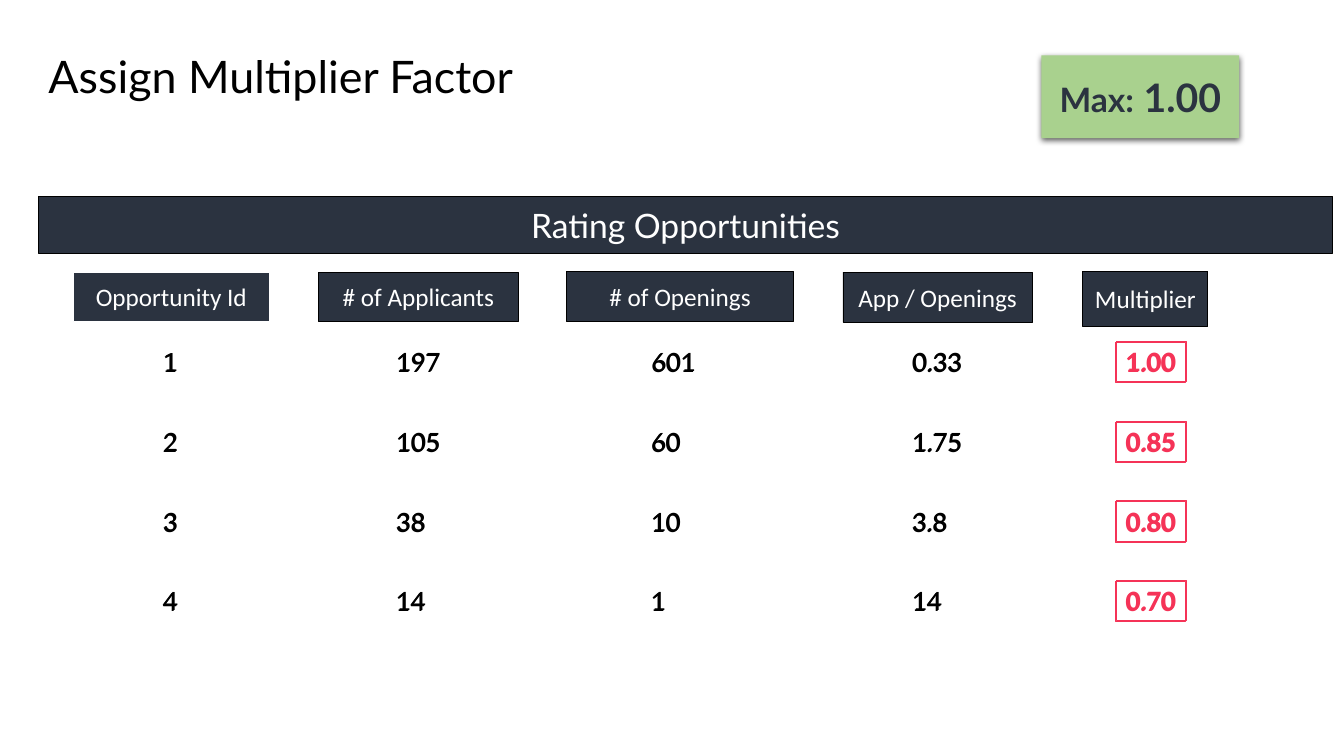
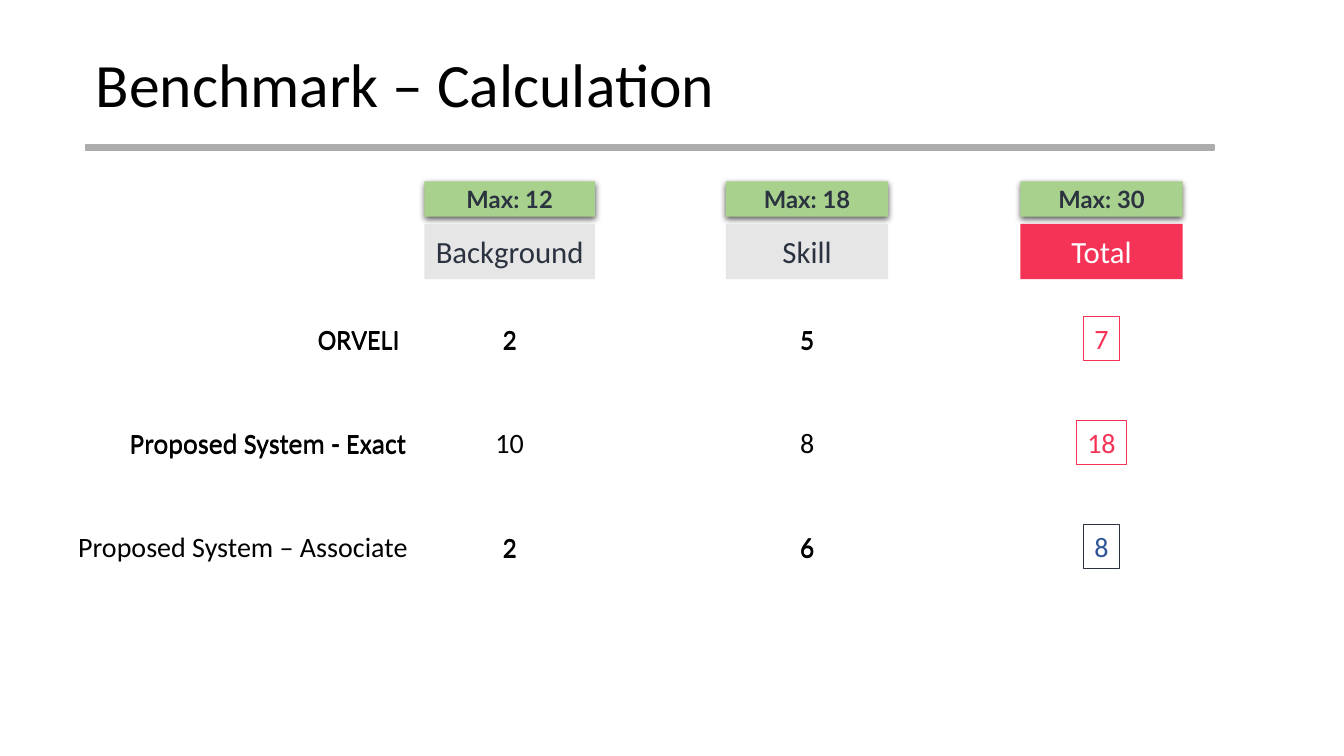
from collections import namedtuple

from lxml import etree
from pptx import Presentation
from pptx.dml.color import RGBColor
from pptx.enum.shapes import MSO_SHAPE
from pptx.enum.text import MSO_ANCHOR, MSO_AUTO_SIZE, PP_ALIGN
from pptx.oxml import parse_xml
from pptx.oxml.ns import nsdecls, qn
from pptx.util import Inches, Pt

COLORS = {
    "black": "000000", "white": "FFFFFF", "navy": "2B3340", "red": "F53357",
    "green": "A9D18E", "light": "E7E6E6", "rule": "ACACAC", "blue": "2F5597",
    "glow": "0070C0",
}
ECHO = 0.01  # offset of the second strike that thickens the figures

Box = namedtuple("Box", "left top width height")


def rgb(name):
    return RGBColor.from_string(COLORS[name])


def emu(box):
    return [Inches(value) for value in box]


def style(para, size, color, font, bold=False, align=PP_ALIGN.CENTER):
    para.alignment = align
    for span in para.runs:
        span.font.size = Pt(size)
        span.font.name = font
        span.font.bold = bold
        span.font.color.rgb = rgb(color)


def add_title(page, box, text, size, font):
    title = page.shapes.title
    title.left, title.top, title.width, title.height = emu(box)
    frame = title.text_frame
    frame.text = text
    frame.vertical_anchor = MSO_ANCHOR.MIDDLE
    frame.paragraphs[0].line_spacing = 0.9
    style(frame.paragraphs[0], size, "black", font, align=PP_ALIGN.LEFT)


def add_bar(page, box, fill, line=None, line_width=0.5):
    bar = page.shapes.add_shape(MSO_SHAPE.RECTANGLE, *emu(box))
    bar.shadow.inherit = False
    bar.fill.solid()
    bar.fill.fore_color.rgb = rgb(fill)
    if line:
        bar.line.color.rgb = rgb(line)
        bar.line.width = Pt(line_width)
    else:
        bar.line.fill.background()
    return bar


def add_label_bar(page, box, text, size, fill, color, font="Calibri",
                  line=None, bold=False):
    bar = add_bar(page, box, fill, line)
    frame = bar.text_frame
    frame.text = text
    frame.word_wrap = True
    frame.vertical_anchor = MSO_ANCHOR.MIDDLE
    style(frame.paragraphs[0], size, color, font, bold)
    return bar


def add_max_badge(page, box, text, size):
    """Green badge with a soft shadow below."""
    badge = add_label_bar(page, box, text, size, "green", "navy", "Lato", bold=True)
    effects = badge.element.spPr.find(qn("a:effectLst"))
    effects.append(parse_xml(
        f'<a:outerShdw {nsdecls("a")} blurRad="57150" dist="19050" dir="5400000" '
        'algn="ctr" rotWithShape="0"><a:srgbClr val="000000">'
        '<a:alpha val="63000"/></a:srgbClr></a:outerShdw>'))
    return badge


def add_figure(page, box, text, size, font, color="black", bold=False, frame_color=None):
    """Unwrapped text, with a thin frame if a frame colour is given."""
    figure = page.shapes.add_textbox(*emu(box))
    if frame_color:
        figure.line.color.rgb = rgb(frame_color)
        figure.line.width = Pt(0.75)
    frame = figure.text_frame
    frame.text = text
    frame.word_wrap = False
    frame.auto_size = MSO_AUTO_SIZE.SHAPE_TO_FIT_TEXT
    style(frame.paragraphs[0], size, color, font, bold)
    return figure


def figure_width(text):
    digits = sum(char.isdigit() for char in text)
    return 0.2 + 0.15 * digits + 0.05 * text.count(".")


def outline_text(figure, color):
    properties = figure.text_frame.paragraphs[0].runs[0].font._element
    line = etree.Element(qn("a:ln"), w=str(Pt(0.75)))
    fill = etree.SubElement(line, qn("a:solidFill"))
    etree.SubElement(fill, qn("a:srgbClr"), val=COLORS[color])
    properties.insert(0, line)


# Rating table: heading, its box within the table, line, left of the figures
RATING_COLUMNS = [
    ("Opportunity Id", Box(0.35, 0.75, 1.94, 0.49), "white", 1.14),
    ("# of Applicants", Box(2.78, 0.75, 1.98, 0.49), "black", 3.45),
    ("# of Openings", Box(5.24, 0.74, 2.25, 0.5), "black", 5.98),
    ("App / Openings", Box(7.98, 0.75, 1.88, 0.5), "black", 8.57),
    ("Multiplier", Box(10.36, 0.74, 1.24, 0.55), "black", 10.69),
]
RATING_ROWS = [
    ("1", "197", "601", "0.33", "1.00"),
    ("2", "105", "60", "1.75", "0.85"),
    ("3", "38", "10", "3.8", "0.80"),
    ("4", "14", "1", "14", "0.70"),
]


def rating_table(page, area):
    # Band and column headings
    band = Box(area.left, area.top, area.width, 0.56)
    add_label_bar(page, band, "Rating Opportunities", 24, "navy", "white", "Lato", "black")
    for heading, place, line, _ in RATING_COLUMNS:
        box = place._replace(left=area.left + place.left, top=area.top + place.top)
        add_label_bar(page, box, heading, 18, "navy", "white", line=line)

    # Figures, struck twice
    first_row, pitch = area.top + 1.44, 0.79
    last = len(RATING_COLUMNS) - 1
    for shift in (0, ECHO):
        for row, values in enumerate(RATING_ROWS):
            for column, text in enumerate(values):
                box = Box(area.left + RATING_COLUMNS[column][3] - shift,
                          first_row + row * pitch + shift, figure_width(text), 0.4)
                font = "Noto Sans Mono" if row == column == 0 else "Lato"
                if column == last:
                    add_figure(page, box, text, 18, font, "red", True, "red")
                else:
                    add_figure(page, box, text, 18, font)


def multiplier_slide(page):
    add_title(page, Box(0.38, 0.31, 12.6, 0.94), "Assign Multiplier Factor", 32, "Lato")
    badge = add_max_badge(page, Box(10.33, 0.55, 1.96, 0.82), "Max:", 24)
    para = badge.text_frame.paragraphs[0]
    para.add_run().text = " 1.00"
    style(para, 28, "navy", "Lato", True)
    para.runs[0].font.size = Pt(24)
    rating_table(page, Box(0.38, 1.95, 12.84, 4.25))


# Benchmark: heading, left, width, fill, text colour, maximum
BENCHMARK_COLUMNS = [
    ("Background", 3.55, 1.69, "light", "navy", 12),
    ("Skill", 6.54, 1.61, "light", "navy", 18),
    ("Total", 9.46, 1.61, "red", "white", 30),
]
# Label, label width, values, colours of the total and its frame,
# and the columns struck twice, label included
BENCHMARK_ROWS = [
    ("ORVELI", 1.2, ("2", "5", "7"), "red", "red", (0, 1, 2)),
    ("Proposed System - Exact", 3.0, ("10", "8", "18"), "red", "red", (0,)),
    ("Proposed System – Associate", 3.5, ("2", "6", "8"), "blue", "navy", (1, 2)),
]


def benchmark_table(page, area):
    # Badges and column headings
    centers = []
    for heading, offset, width, fill, color, maximum in BENCHMARK_COLUMNS:
        left = area.left + offset
        centers.append(left + width / 2)
        add_max_badge(page, Box(left, area.top, width, 0.35), f"Max: {maximum}", 17)
        add_label_bar(page, Box(left, area.top + 0.42, width, 0.55),
                      heading, 22, fill, color)

    # Row labels and figures
    label_right = area.left + 3.5
    for row, (label, width, values, color, frame, doubled) in enumerate(BENCHMARK_ROWS):
        top = area.top + 1.34 + row * 1.03
        boxes = [Box(label_right - width, top, width, 0.44)]
        for center, text in zip(centers, values):
            width = figure_width(text)
            boxes.append(Box(center - width / 2, top, width, 0.44))
        *plain, total_box = boxes
        for column, (box, text) in enumerate(zip(plain, (label, *values))):
            for shift in (0, ECHO) if column in doubled else (0,):
                add_figure(page, box._replace(top=top + shift), text, 20, "Calibri")
        total = add_figure(page, total_box, values[-1], 20, "Calibri", color,
                           frame_color=frame)
        if color == "blue":
            outline_text(total, "glow")


def benchmark_slide(page):
    add_title(page, Box(0.85, 0.14, 11.5, 1.45), "Benchmark – Calculation", 44, "Calibri")
    add_bar(page, Box(0.85, 1.44, 11.19, 0.05), "rule", "rule", 1)
    benchmark_table(page, Box(0.66, 1.8, 11.07, 3.85))


def main():
    deck = Presentation()
    deck.slide_width, deck.slide_height = Inches(13.33), Inches(7.5)
    title_only = deck.slide_layouts[5]
    for build in (multiplier_slide, benchmark_slide):
        build(deck.slides.add_slide(title_only))
    deck.save("out.pptx")


if __name__ == "__main__":
    main()
